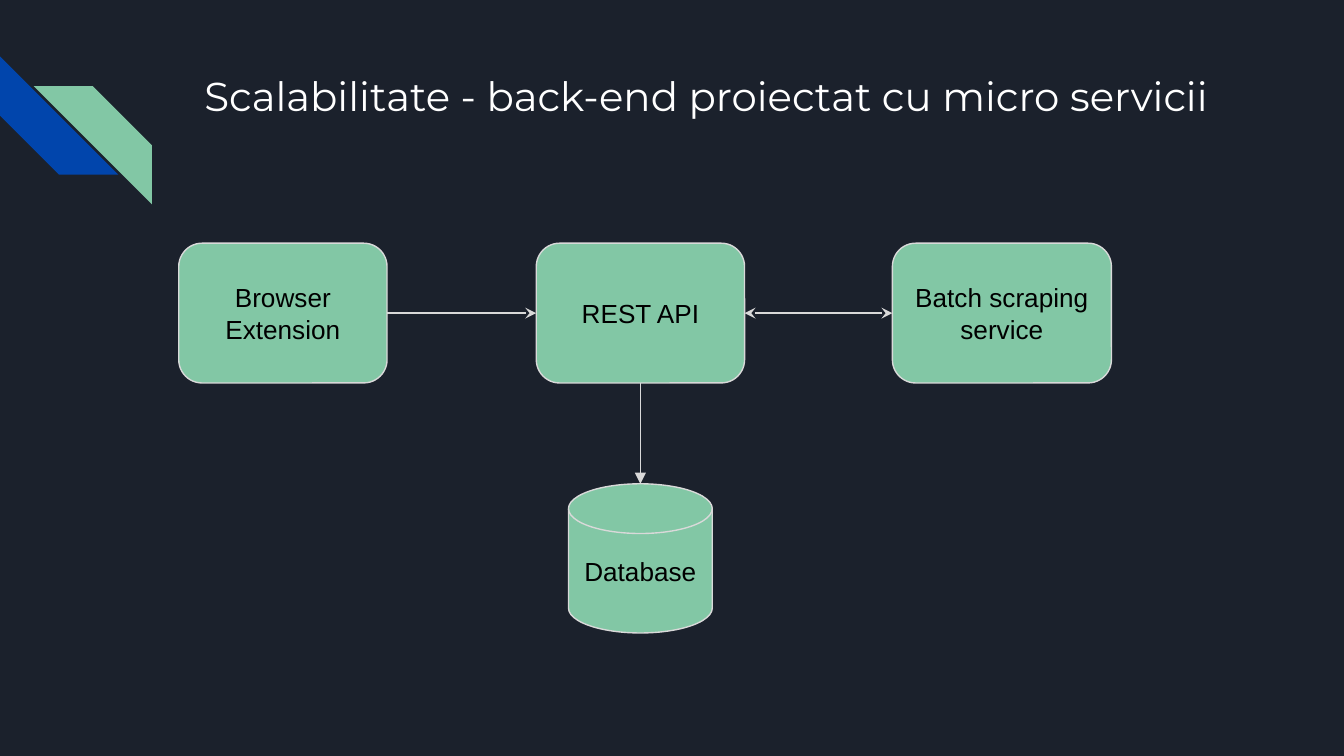
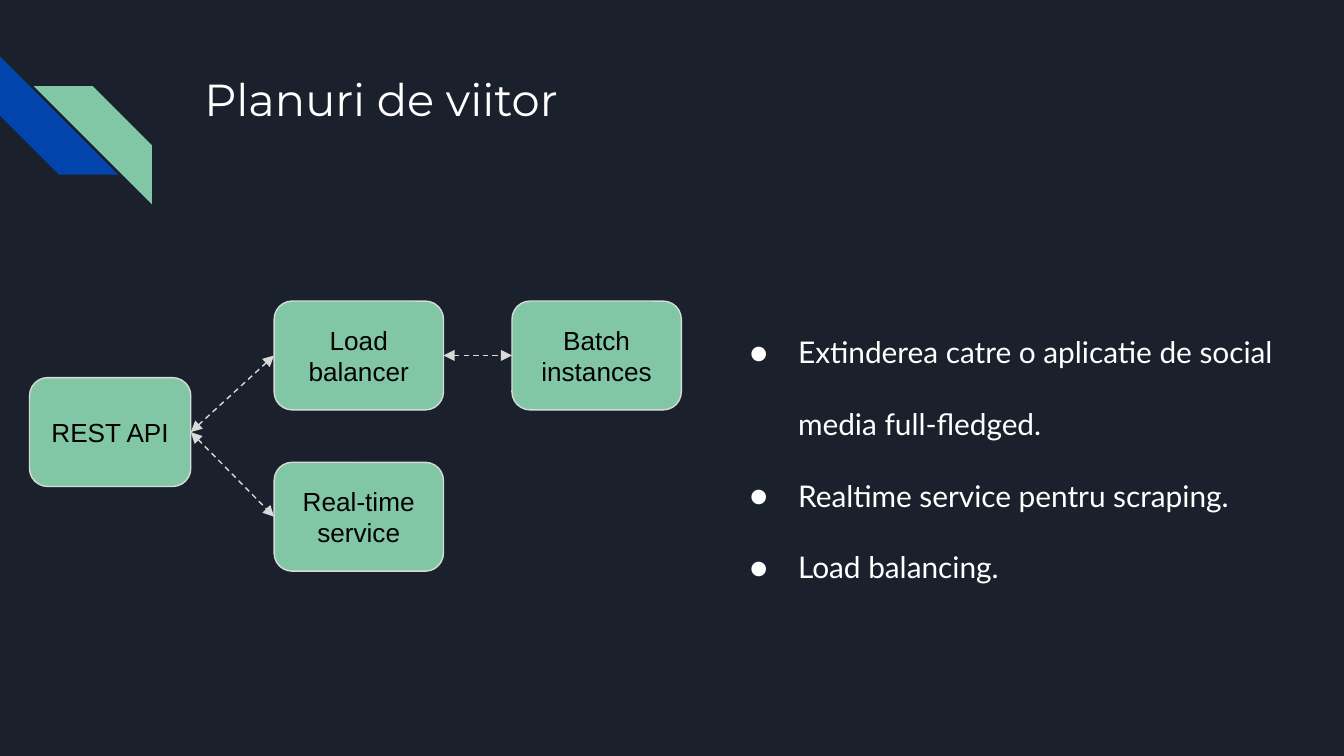
from dataclasses import dataclass

from lxml import etree
from pptx import Presentation
from pptx import util as u
from pptx.dml.color import RGBColor
from pptx.enum import dml, shapes, text
from pptx.oxml.ns import qn


@dataclass(frozen=True)
class Theme:
    background = RGBColor.from_string("1B212C")
    blue = RGBColor.from_string("0145AC")
    green = RGBColor.from_string("82C7A5")
    outline = RGBColor.from_string("D9D9D9")
    white = RGBColor.from_string("FFFFFF")
    black = RGBColor.from_string("000000")
    title_font, body_font, node_font = "Montserrat", "Lato", "Arial"
    body_size, node_size = u.Pt(16), u.Pt(14)
    line_width = u.Pt(0.75)
    inset = u.Inches(0.1)


theme = Theme()
TOP, LEFT, BOTTOM, RIGHT = range(4)
BOX = shapes.MSO_SHAPE.FLOWCHART_ALTERNATE_PROCESS
DISK = shapes.MSO_SHAPE.FLOWCHART_MAGNETIC_DISK


def add_node(slide, label, left, top, width, height, kind=BOX):
    shape = slide.shapes.add_shape(kind, *map(u.Inches, (left, top, width, height)))
    shape.shadow.inherit = False
    shape.fill.solid()
    shape.fill.fore_color.rgb = theme.green
    shape.line.color.rgb = theme.outline
    shape.line.width = theme.line_width
    frame = shape.text_frame
    frame.word_wrap = True
    frame.vertical_anchor = text.MSO_ANCHOR.MIDDLE
    frame.margin_left = frame.margin_right = theme.inset
    frame.margin_top = frame.margin_bottom = theme.inset
    paragraph = frame.paragraphs[0]
    paragraph.alignment = text.PP_ALIGN.CENTER
    run = paragraph.add_run()
    run.text = label
    run.font.name, run.font.size = theme.node_font, theme.node_size
    run.font.color.rgb = theme.black
    return shape


def add_arrow(slide, start, start_side, end, end_side, arrow, both=False, dashed=False):
    connector = slide.shapes.add_connector(
        shapes.MSO_CONNECTOR.STRAIGHT, start.left, start.top,
        end.left + end.width // 2, end.top)
    connector.begin_connect(start, start_side)
    if end_side is not None:
        connector.end_connect(end, end_side)
    connector.line.color.rgb = theme.outline
    connector.line.width = theme.line_width
    if dashed:
        connector.line.dash_style = dml.MSO_LINE.DASH
    line = connector.line._get_or_add_ln()
    for tag in ("a:headEnd", "a:tailEnd") if both else ("a:tailEnd",):
        etree.SubElement(line, qn(tag)).set("type", arrow)
    etree.SubElement(connector._element.spPr, qn("a:effectLst"))


# Widescreen 16:9 page
presentation = Presentation()
presentation.slide_width = u.Inches(10)
presentation.slide_height = u.Inches(10 * 9 / 16)

# Shared background
background = presentation.slide_master.background.fill
background.solid()
background.fore_color.rgb = theme.background

# Slides with corner stripes and titles
slides = []
for title, title_size in (
    ("Scalabilitate - back-end proiectat cu micro servicii", 21.6),
    ("Planuri de viitor", 24),
):
    slide = presentation.slides.add_slide(presentation.slide_layouts[5])
    slides.append(slide)
    for left, top, color, mirrored in (
        (0, 0.42, theme.blue, False),
        (0.25, 0.64, theme.green, True),
    ):
        stripe = slide.shapes.add_shape(
            shapes.MSO_SHAPE.DIAGONAL_STRIPE, *map(u.Inches, (left, top, 0.88, 0.88)))
        stripe.shadow.inherit = False
        stripe.adjustments[0] = 0.5
        stripe.fill.solid()
        stripe.fill.fore_color.rgb = color
        stripe.line.fill.background()
        if mirrored:
            stripe._element.spPr.xfrm.set("flipH", "1")
        else:
            stripe.rotation = 270

    heading = slide.shapes.title
    heading.left, heading.top = u.Inches(1.42), u.Inches(0.43)
    heading.width, heading.height = u.Inches(7.7), u.Inches(1)
    frame = heading.text_frame
    frame.auto_size = text.MSO_AUTO_SIZE.NONE
    frame.word_wrap = True
    frame.vertical_anchor = text.MSO_ANCHOR.TOP
    frame.margin_left = frame.margin_right = theme.inset
    frame.margin_top = frame.margin_bottom = theme.inset
    paragraph = frame.paragraphs[0]
    paragraph.alignment = text.PP_ALIGN.LEFT
    run = paragraph.add_run()
    run.text = title
    run.font.name, run.font.size = theme.title_font, u.Pt(title_size)
    run.font.color.rgb = theme.white

services, plans = slides

# Slide 1: microservices around the API
extension, api, scraper = [
    add_node(services, label, left, 1.81, width, 1.04)
    for label, left, width in (
        ("Browser Extension", 1.33, 1.55),
        ("REST API", 3.99, 1.55),
        ("Batch scraping service", 6.64, 1.63),
    )
]
database = add_node(services, "Database", 4.23, 3.6, 1.07, 1.11, DISK)
add_arrow(services, extension, RIGHT, api, LEFT, "stealth")
add_arrow(services, api, RIGHT, scraper, LEFT, "stealth", both=True)
add_arrow(services, api, BOTTOM, database, None, "triangle")

# Slide 2: planned architecture
api, balancer, batch, realtime = [
    add_node(plans, label, left, top, width, 0.81)
    for label, left, top, width in (
        ("REST API", 0.22, 2.81, 1.2),
        ("Load balancer", 2.04, 2.24, 1.26),
        ("Batch instances", 3.81, 2.24, 1.26),
        ("Real-time service", 2.04, 3.44, 1.26),
    )
]
for start, end in ((api, balancer), (balancer, batch), (api, realtime)):
    add_arrow(plans, start, RIGHT, end, LEFT, "triangle", both=True, dashed=True)

# Slide 2: bullet list
body = plans.shapes.add_textbox(*map(u.Inches, (5.34, 2.12, 4.39, 2.47)))
frame = body.text_frame
frame.word_wrap = True
frame.margin_left = frame.margin_right = theme.inset
frame.margin_top = frame.margin_bottom = theme.inset
for index, plan in enumerate((
    "Extinderea catre o aplicatie de social media full-fledged.",
    "Realtime service pentru scraping.",
    "Load balancing.",
)):
    paragraph = frame.add_paragraph() if index else frame.paragraphs[0]
    paragraph.line_spacing = 2.0
    properties = paragraph._p.get_or_add_pPr()
    properties.set("marL", str(u.Inches(0.5)))
    properties.set("indent", str(u.Inches(-0.36)))
    bullet_color = etree.SubElement(properties, qn("a:buClr"))
    etree.SubElement(bullet_color, qn("a:srgbClr")).set("val", str(theme.white))
    etree.SubElement(properties, qn("a:buFont")).set("typeface", theme.body_font)
    etree.SubElement(properties, qn("a:buChar")).set("char", "●")
    run = paragraph.add_run()
    run.text = plan
    run.font.name, run.font.size = theme.body_font, theme.body_size
    run.font.color.rgb = theme.white

presentation.save("out.pptx")
